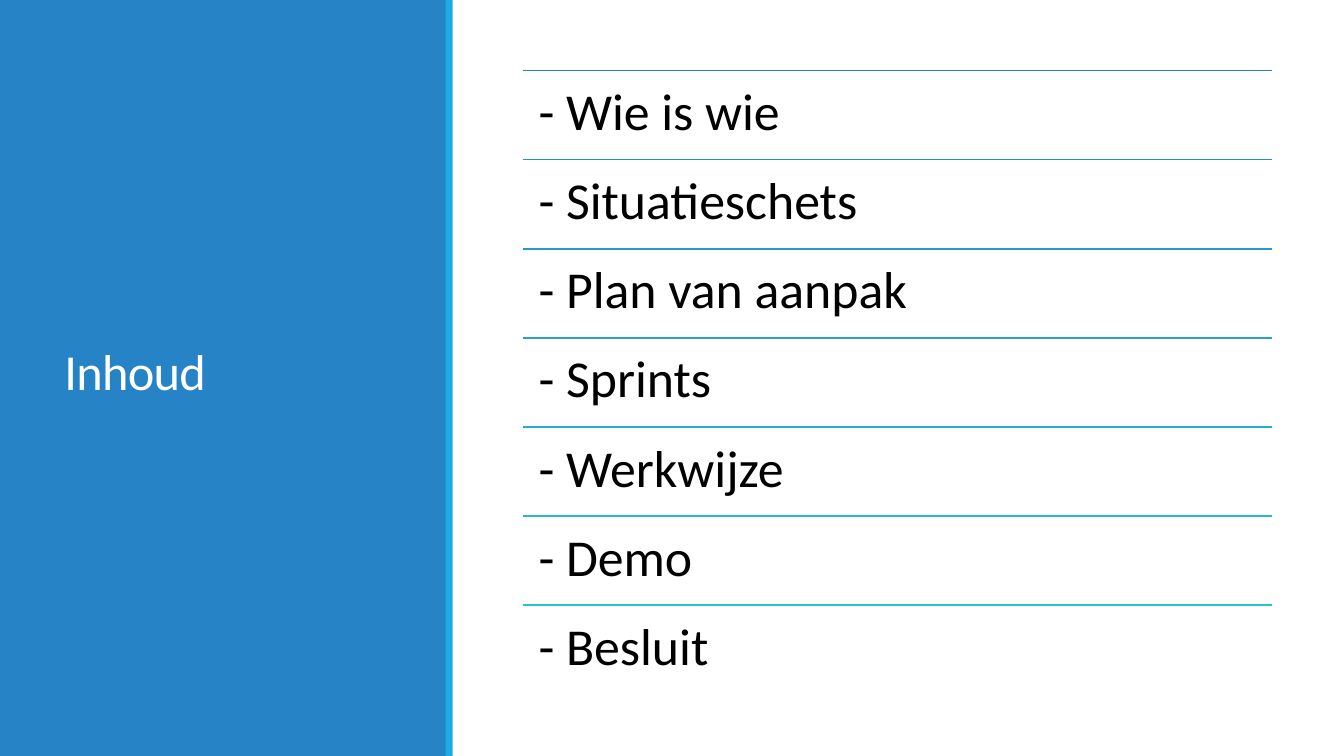
"""Build the "Inhoud" contents slide with a blue side panel and a ruled list."""
from dataclasses import dataclass

from lxml.etree import SubElement
from pptx import Presentation
from pptx.dml.color import RGBColor
from pptx.enum.shapes import MSO_CONNECTOR as Connector, MSO_SHAPE as Preset
from pptx.enum.text import MSO_ANCHOR as Anchor
from pptx.oxml.ns import qn
from pptx.slide import Slide
from pptx.util import Pt

COLORS = {
    "panel": "2683C6",
    "stripe": "1CADE4",
    "title": "FFFFFF",
    "item": "000000",
}
LIST_LEFT, LIST_TOP, LIST_WIDTH, ROW_HEIGHT = 373.6, 50.4, 535, 63.6
ITEMS = {
    "- Wie is wie": "2683C6",
    "- Situatieschets": "268EC7",
    "- Plan van aanpak": "2798C8",
    "- Sprints": "27A3C9",
    "- Werkwijze": "27AECA",
    "- Demo": "28B9CB",
    "- Besluit": "28C4CC",
}


@dataclass(frozen=True)
class Box:
    left: float
    top: float
    width: float
    height: float

    def lengths(self) -> tuple[Pt, Pt, Pt, Pt]:
        return Pt(self.left), Pt(self.top), Pt(self.width), Pt(self.height)


@dataclass(frozen=True)
class Bar:
    box: Box
    color: str


@dataclass(frozen=True)
class Label:
    text: str
    box: Box
    size: float
    color: str
    line_spacing: float
    anchor: Anchor
    inset: tuple[float, float]
    tracking: int = 0


@dataclass(frozen=True)
class Rule:
    top: float
    color: str


def draw_bar(slide: Slide, bar: Bar) -> None:
    shape = slide.shapes.add_shape(Preset.RECTANGLE, *bar.box.lengths())
    shape.shadow.inherit = False
    shape.fill.solid()
    shape.fill.fore_color.rgb = RGBColor.from_string(bar.color)
    shape.line.fill.background()


def draw_label(slide: Slide, label: Label) -> None:
    frame = slide.shapes.add_textbox(*label.box.lengths()).text_frame
    horizontal, vertical = map(Pt, label.inset)
    frame_format = {
        "word_wrap": True,
        "vertical_anchor": label.anchor,
        "margin_left": horizontal,
        "margin_right": horizontal,
        "margin_top": vertical,
        "margin_bottom": vertical,
    }
    for name, value in frame_format.items():
        setattr(frame, name, value)
    paragraph = frame.paragraphs[0]
    paragraph.line_spacing = label.line_spacing
    run = paragraph.add_run()
    run.text = label.text
    for name, value in {"name": "Calibri", "size": Pt(label.size)}.items():
        setattr(run.font, name, value)
    run.font.color.rgb = RGBColor.from_string(label.color)
    if label.tracking:
        run._r.get_or_add_rPr().set("spc", str(label.tracking))


def draw_rule(slide: Slide, rule: Rule) -> None:
    connector = slide.shapes.add_connector(
        Connector.STRAIGHT,
        Pt(LIST_LEFT), Pt(rule.top), Pt(LIST_LEFT + LIST_WIDTH), Pt(rule.top),
    )
    connector.line.width = Pt(1.25)
    connector.line.color.rgb = RGBColor.from_string(rule.color)
    SubElement(connector._element.spPr, qn("a:effectLst"))


def main() -> None:
    presentation = Presentation()
    presentation.slide_width, presentation.slide_height = Pt(960), Pt(540)
    slide = presentation.slides.add_slide(presentation.slide_layouts[6])

    draw_bar(slide, Bar(Box(0, 0, 319, 540), COLORS["panel"]))
    draw_label(slide, Label(
        "Inhoud", Box(38.9, 41, 242.6, 454.3), 36, COLORS["title"],
        0.85, Anchor.MIDDLE, (7.2, 3.6), tracking=-50,
    ))
    draw_bar(slide, Bar(Box(318.4, 0, 5, 540), COLORS["stripe"]))

    for index, (text, color) in enumerate(ITEMS.items()):
        top = LIST_TOP + index * ROW_HEIGHT
        draw_rule(slide, Rule(top, color))
        draw_label(slide, Label(
            text, Box(LIST_LEFT, top, LIST_WIDTH, ROW_HEIGHT), 37, COLORS["item"],
            0.9, Anchor.TOP, (11.1, 11.1),
        ))

    presentation.save("out.pptx")


if __name__ == "__main__":
    main()
